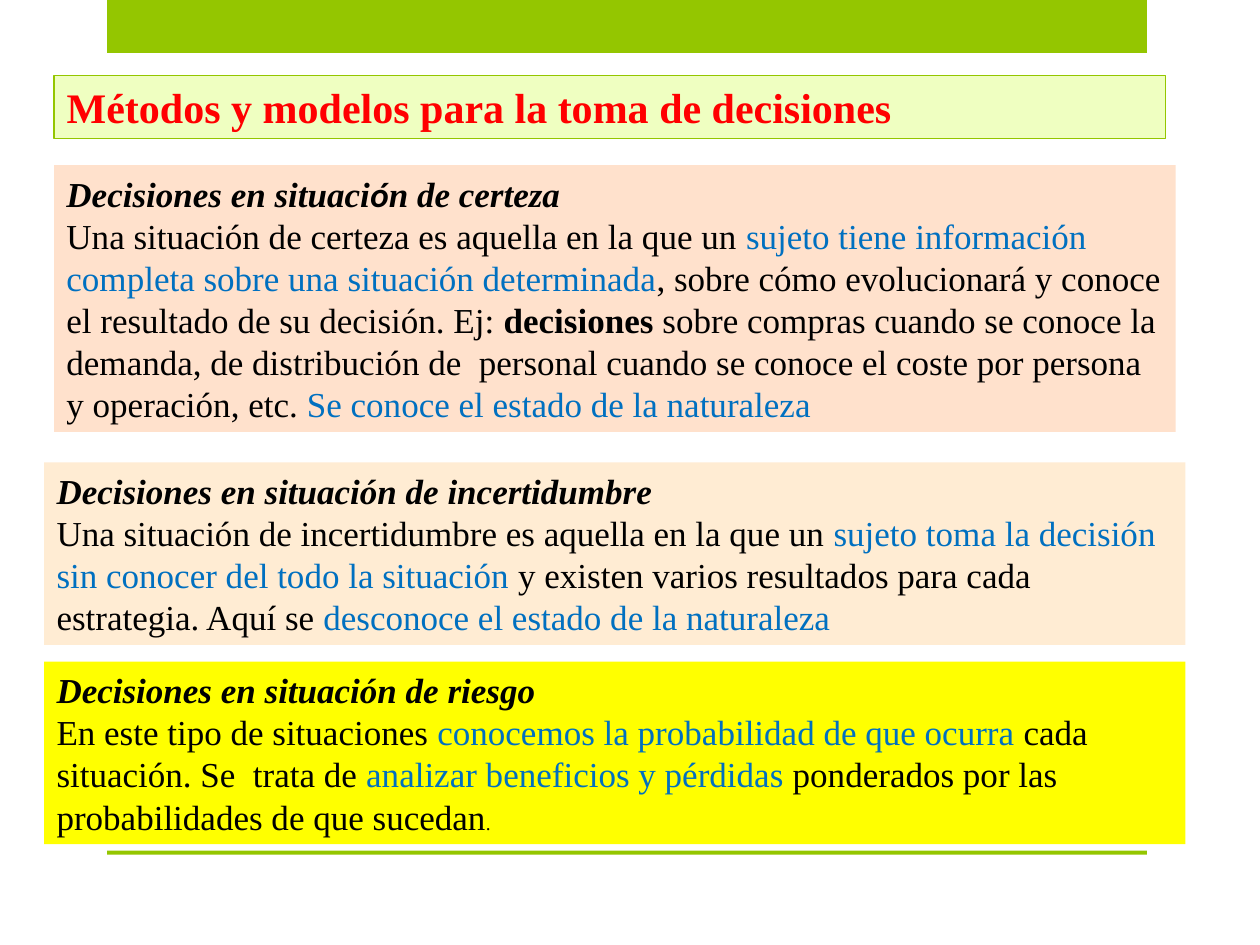
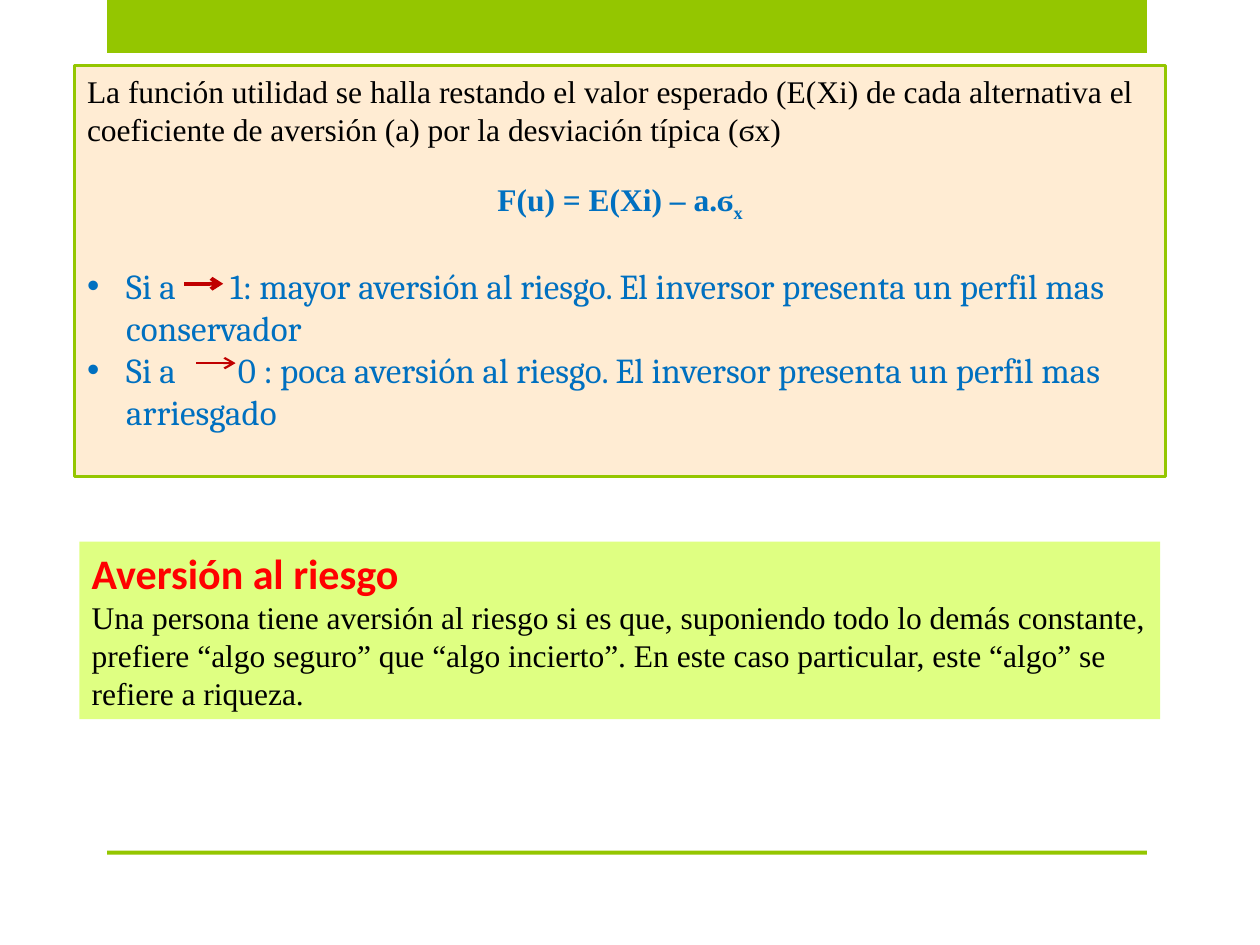
from lxml.etree import SubElement
from pptx import Presentation
from pptx.dml.color import RGBColor
from pptx.enum.shapes import MSO_CONNECTOR, MSO_SHAPE
from pptx.enum.text import MSO_ANCHOR, MSO_AUTO_SIZE, PP_ALIGN
from pptx.oxml.ns import qn
from pptx.util import Cm, Pt

GREEN = RGBColor(0x94, 0xC6, 0x00)
PALE_GREEN = RGBColor(0xEF, 0xFF, 0xC1)
LIME = RGBColor(0xDF, 0xFF, 0x82)
PEACH = RGBColor(0xFF, 0xE1, 0xCC)
CREAM = RGBColor(0xFF, 0xEC, 0xD3)
YELLOW = RGBColor(0xFF, 0xFF, 0x00)
RED = RGBColor(0xFF, 0x00, 0x00)
DARK_RED = RGBColor(0xC0, 0x00, 0x00)
BLUE = RGBColor(0x00, 0x70, 0xC0)
BLACK = RGBColor(0x00, 0x00, 0x00)

SERIF, SANS, LIST_FONT = "Times New Roman", "Calibri", "Cambria"
LINE_HEIGHT = 1.2
HANG = Cm(0.79)

# Run styles: what differs from plain black serif text
PLAIN = {}
KEY = {"color": BLUE}
BOLD = {"bold": True}
HEAD = {"bold": True, "italic": True}
TITLE = {"bold": True, "color": RED}
FORMULA = {"bold": True, "color": BLUE}
ITEM = {"name": LIST_FONT, "color": BLUE}

# Bands: left, top, width, height in cm
BANDS = [(2.16, 0, 20.96, 1.07), (2.16, 17.15, 20.96, 0.08)]

# Paragraphs: (size, [(text, style), ...], paragraph format)
TITLE_BOX = {
    "at": (1.09, 1.52, 22.4, 1.27), "fill": PALE_GREEN, "line": 0.75,
    "text": [(24, [("Métodos y modelos para la toma de decisiones", TITLE)], {})],
}

SITUATIONS = [
    {"at": (1.09, 3.33, 22.61, 5.38), "fill": PEACH, "anchor": MSO_ANCHOR.MIDDLE,
     "text": [
         (20, [("Decisiones en situaci", HEAD), ("ó", {**HEAD, "name": SANS}),
               ("n de certeza", HEAD)], {}),
         (20, [("Una situación de certeza es aquella en la que un ", PLAIN),
               ("sujeto tiene información completa sobre una situación determinada", KEY),
               (", sobre cómo evolucionará y conoce el resultado de su decisión. Ej: ", PLAIN),
               ("decisiones", BOLD),
               (" sobre compras cuando se conoce la demanda, de distribución de  personal "
                "cuando se conoce el coste por persona y operación, etc. ", PLAIN),
               ("Se conoce el estado de la naturaleza", KEY)], {}),
     ]},
    {"at": (0.89, 9.32, 23.01, 3.68), "fill": CREAM, "anchor": MSO_ANCHOR.MIDDLE,
     "text": [
         (20, [("Decisiones en situación de incertidumbre", HEAD)], {}),
         (20, [("Una situación de incertidumbre es aquella en la que un ", PLAIN),
               ("sujeto toma la decisión sin conocer del todo la situación ", KEY),
               ("y existen varios resultados para cada estrategia. Aquí se ", PLAIN),
               ("desconoce el estado de la naturaleza", KEY)], {}),
     ]},
    {"at": (0.89, 13.34, 23.01, 3.68), "fill": YELLOW, "anchor": MSO_ANCHOR.MIDDLE,
     "text": [
         (20, [("Decisiones en situación de riesgo", HEAD)], {}),
         (20, [("En este tipo de situaciones ", PLAIN),
               ("conocemos la probabilidad de que ocurra ", KEY),
               ("cada situación. Se  trata de ", PLAIN),
               ("analizar beneficios y pérdidas ", KEY),
               ("ponderados por las probabilidades de que sucedan", PLAIN),
               (".", {"size": Pt(11)})], {}),
     ]},
]

UTILITY = {
    "at": (1.5, 1.32, 22, 8.28), "fill": CREAM, "line": 1.75,
    "text": [
        (18, [("La función utilidad se halla restando el valor esperado (E(Xi) de cada "
               "alternativa el coeficiente de aversión (a) por la desviación típica (ϭx)",
               PLAIN)], {}),
        (18, [("F(u) = E(Xi) – a.ϭ", FORMULA), ("x", {**FORMULA, "baseline": -25000})],
         {"alignment": PP_ALIGN.CENTER, "space_before": Pt(21.5)}),
        (20, [("Si a", ITEM), (" ", {**ITEM, "spc": 2650}),
              ("1: mayor aversión al riesgo. El inversor presenta un perfil mas conservador",
               ITEM)], {"bullet": True, "space_before": Pt(24)}),
        (20, [("Si a", ITEM), (" ", {**ITEM, "spc": 3090}),
              ("0 : poca aversión al riesgo. El inversor presenta un perfil mas arriesgado",
               ITEM)], {"bullet": True}),
    ],
}

AVERSION = {
    "at": (1.6, 10.92, 21.79, 3.58), "fill": LIME,
    "text": [
        (24, [("Aversión al riesgo", {**TITLE, "name": SANS})], {}),
        (18, [("Una persona tiene aversión al riesgo si es que, suponiendo todo lo demás "
               "constante, prefiere “algo seguro” que “algo incierto”. En este caso "
               "particular, este “algo” se refiere a riqueza.", PLAIN)], {}),
    ],
}

# Arrows: left, top in cm, width in points
ARROW_LENGTH = 0.79
ARROWS = [(3.71, 5.72, 2.25), (3.96, 7.32, 1.25)]


def add_rect(slide, at):
    sp = slide.shapes.add_shape(MSO_SHAPE.RECTANGLE, *map(Cm, at))
    sp.shadow.inherit = False
    return sp


def add_bands(slide):
    for at in BANDS:
        sp = add_rect(slide, at)
        sp.fill.solid()
        sp.fill.fore_color.rgb = GREEN
        sp.line.fill.background()


def add_run(p, text, size, style):
    r = p.add_run()
    r.text = text
    values = {"name": SERIF, "size": Pt(size), "bold": False, "italic": False,
              "color": BLACK, **style}
    r.font.color.rgb = values.pop("color")
    for key, value in values.items():
        if key in ("baseline", "spc"):
            r._r.get_or_add_rPr().set(key, str(value))
        else:
            setattr(r.font, key, value)


def add_paragraph(p, size, runs, fmt):
    fmt = {"alignment": PP_ALIGN.LEFT, "space_before": Pt(0),
           "line_spacing": Pt(size * LINE_HEIGHT), **fmt}
    hang = HANG if fmt.pop("bullet", False) else 0
    pPr = p._p.get_or_add_pPr()
    pPr.set("marL", str(hang))
    pPr.set("indent", str(-hang))
    if hang:
        SubElement(pPr, qn("a:buChar"), char="•")
    else:
        SubElement(pPr, qn("a:buNone"))
    for key, value in fmt.items():
        setattr(p, key, value)
    for text, style in runs:
        add_run(p, text, size, style)


def fill_box(sp, box):
    """Place, colour and write a rectangle or a placeholder."""
    sp.left, sp.top, sp.width, sp.height = map(Cm, box["at"])
    sp.fill.solid()
    sp.fill.fore_color.rgb = box["fill"]
    if "line" in box:
        sp.line.color.rgb = GREEN
        sp.line.width = Pt(box["line"])
    else:
        sp.line.fill.background()
    tf = sp.text_frame
    tf.word_wrap = True
    tf.auto_size = MSO_AUTO_SIZE.NONE
    tf.vertical_anchor = box.get("anchor", MSO_ANCHOR.TOP)
    for i, paragraph in enumerate(box["text"]):
        p = tf.add_paragraph() if i else tf.paragraphs[0]
        add_paragraph(p, *paragraph)


def add_arrow(slide, left, top, width):
    line = slide.shapes.add_connector(MSO_CONNECTOR.STRAIGHT, Cm(left), Cm(top),
                                      Cm(left + ARROW_LENGTH), Cm(top))
    line.line.color.rgb = DARK_RED
    line.line.width = Pt(width)
    SubElement(line.line._get_or_add_ln(), qn("a:tailEnd"), type="arrow")
    SubElement(line._element.spPr, qn("a:effectLst"))


def build_situations(prs):
    slide = prs.slides.add_slide(prs.slide_layouts.get_by_name("Title Only"))
    add_bands(slide)
    fill_box(slide.shapes.title, TITLE_BOX)
    for box in SITUATIONS:
        fill_box(add_rect(slide, box["at"]), box)


def build_risk_aversion(prs):
    slide = prs.slides.add_slide(prs.slide_layouts.get_by_name("Title and Content"))
    title = slide.shapes.title.element
    title.getparent().remove(title)
    add_bands(slide)
    fill_box(add_rect(slide, AVERSION["at"]), AVERSION)
    fill_box(slide.placeholders[1], UTILITY)
    for arrow in ARROWS:
        add_arrow(slide, *arrow)


def main():
    prs = Presentation()
    prs.slide_width, prs.slide_height = Cm(25.4), Cm(19.05)
    build_situations(prs)
    build_risk_aversion(prs)
    prs.save("out.pptx")


if __name__ == "__main__":
    main()
